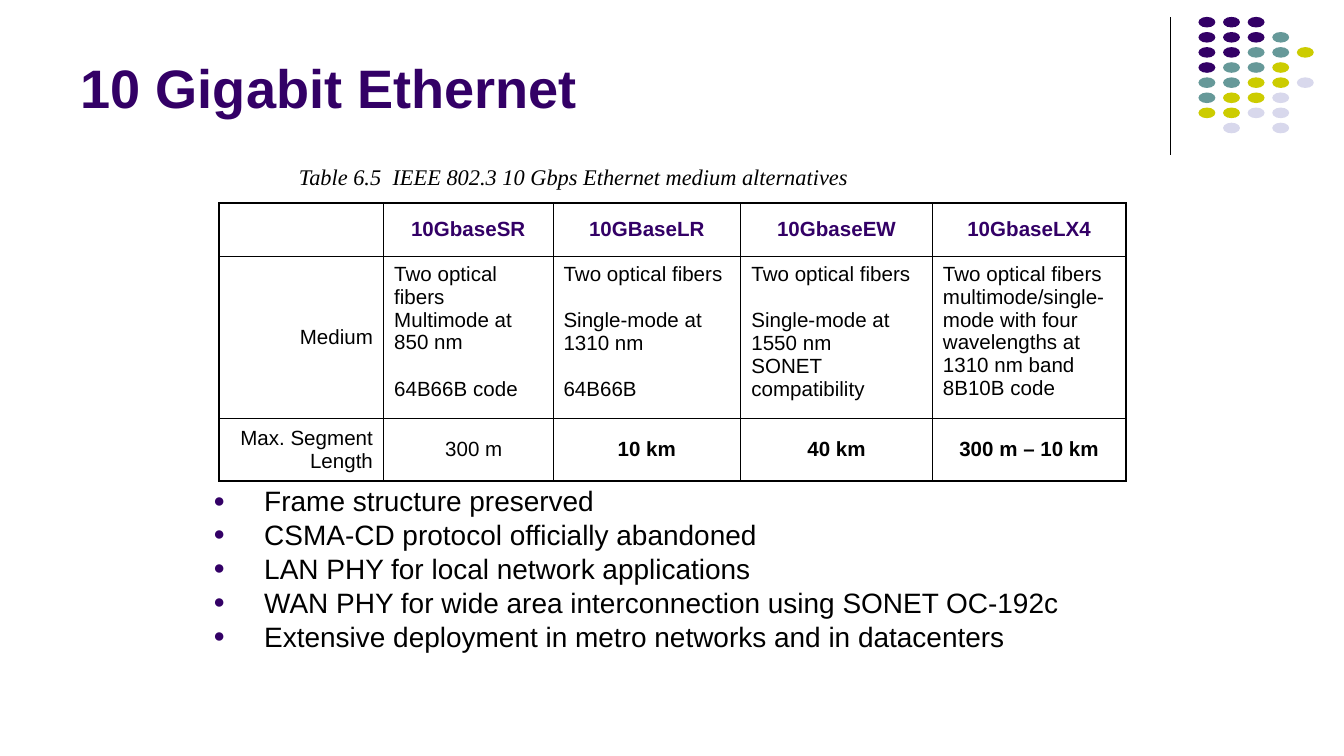
from lxml.etree import SubElement
from pptx import Presentation
from pptx.dml.color import RGBColor
from pptx.enum.shapes import MSO_CONNECTOR, MSO_SHAPE
from pptx.enum.text import MSO_ANCHOR, MSO_AUTO_SIZE, PP_ALIGN
from pptx.oxml import parse_xml
from pptx.oxml.ns import nsdecls, qn
from pptx.util import Cm, Pt

PURPLE, TEAL, OLIVE, LILAC, BLACK = "330066", "669999", "CCCC00", "D8D8EC", "000000"

DOT_COLORS = {"P": PURPLE, "T": TEAL, "O": OLIVE, "L": LILAC}
DOT_ROWS = ["PPP", "PPPT", "PPTTO", "PTTO", "TTOOL", "TOOL", "OOLL", " L L"]

# A blank line in a cell stands for a gap between its paragraphs.
MEDIA = [
    ["", "10GbaseSR", "10GBaseLR", "10GbaseEW", "10GbaseLX4"],
    ["Medium",
     "Two optical fibers\nMultimode at 850 nm\n\n64B66B code",
     "Two optical fibers\n\nSingle-mode at 1310 nm\n\n64B66B",
     "Two optical fibers\n\nSingle-mode at 1550 nm\nSONET compatibility",
     "Two optical fibers multimode/single-mode with four wavelengths at 1310 nm band\n"
     "8B10B code"],
    ["Max. Segment Length", "300 m", "10 km", "40 km", "300 m – 10 km"],
]
COLUMN_WIDTHS = [3.11, 3.2, 3.55, 3.62, 3.66]
ROW_HEIGHTS = [1, 3.06, 1.19]

FEATURES = [
    "Frame structure preserved",
    "CSMA-CD protocol officially abandoned",
    "LAN PHY for local network applications",
    "WAN PHY for wide area interconnection using SONET OC-192c",
    "Extensive deployment in metro networks and in datacenters",
]


def rgb(color):
    return RGBColor.from_string(color)


def style(paragraph, size, color=BLACK, name="Arial", bold=False, italic=False):
    font = paragraph.font
    font.name, font.size = name, Pt(size)
    font.bold, font.italic = bold, italic
    font.color.rgb = rgb(color)


def place(shape, left, top, width, height):
    shape.left, shape.top = Cm(left), Cm(top)
    shape.width, shape.height = Cm(width), Cm(height)


def add_divider(slide):
    divider = slide.shapes.add_connector(
        MSO_CONNECTOR.STRAIGHT, Cm(22.12), Cm(0.33), Cm(22.12), Cm(2.92))
    divider.line.color.rgb = rgb(BLACK)
    divider.line.width = Pt(0.75)
    SubElement(divider._element.spPr, qn("a:effectLst"))


def add_dots(slide):
    dots = slide.shapes.add_group_shape().shapes
    for row, codes in enumerate(DOT_ROWS):
        for column, code in enumerate(codes):
            if code == " ":
                continue
            dot = dots.add_shape(MSO_SHAPE.OVAL, Cm(22.65 + 1.86 * column / 4),
                                 Cm(0.32 + 2 * row / 7), Cm(0.32), Cm(0.2))
            dot.shadow.inherit = False
            dot.fill.solid()
            dot.fill.fore_color.rgb = rgb(DOT_COLORS[code])
            dot.line.fill.background()


def add_title(slide, text):
    title = slide.shapes.title
    place(title, 1.27, 0.25, 20.96, 2.13)
    frame = title.text_frame
    frame.text = text
    frame.auto_size = MSO_AUTO_SIZE.NONE
    frame.vertical_anchor = MSO_ANCHOR.BOTTOM
    frame.paragraphs[0].alignment = PP_ALIGN.LEFT
    style(frame.paragraphs[0], 29, PURPLE, bold=True)


def add_caption(slide, number, text):
    frame = slide.shapes.add_textbox(Cm(5.4), Cm(2.95), Cm(10.92), Cm(0.76)).text_frame
    frame.word_wrap = True
    frame.margin_right = 0
    frame.vertical_anchor = MSO_ANCHOR.MIDDLE
    caption = frame.paragraphs[0]
    caption.text = f"{number}\t{text}"
    tabs = SubElement(caption._p.get_or_add_pPr(), qn("a:tabLst"))
    SubElement(tabs, qn("a:tab"), pos=str(Cm(1.77)), algn="l")
    style(caption, 12, name="Times New Roman", italic=True)


def set_borders(cell, row, column):
    """Draw thin lines inside the table and thicker ones around it."""
    outer = {"lnL": column == 0, "lnR": column == len(COLUMN_WIDTHS) - 1,
             "lnT": row == 0, "lnB": row == len(ROW_HEIGHTS) - 1}
    for position, (side, is_outer) in enumerate(outer.items()):
        width = Pt(1.08 if is_outer else 0.45)
        cell._tc.get_or_add_tcPr().insert(position, parse_xml(
            f'<a:{side} {nsdecls("a")} w="{width}"><a:solidFill>'
            f'<a:srgbClr val="{BLACK}"/></a:solidFill></a:{side}>'))


def fill_cell(cell, text, row, column):
    is_header, is_label, is_medium = row == 0, column == 0, row == 1 and column > 0
    cell.fill.background()
    set_borders(cell, row, column)
    cell.margin_left = cell.margin_right = Cm(0.2)
    cell.vertical_anchor = MSO_ANCHOR.TOP if is_medium else MSO_ANCHOR.MIDDLE
    if is_label:
        alignment = PP_ALIGN.RIGHT
    else:
        alignment = PP_ALIGN.LEFT if is_medium else PP_ALIGN.CENTER

    cell.text = text.replace("\n\n", "\n")
    gap_starts = {block.split("\n")[0] for block in text.split("\n\n")[1:]}
    for paragraph in cell.text_frame.paragraphs:
        paragraph.alignment = alignment
        if paragraph.text in gap_starts:
            paragraph.space_before = Pt(12.5)
        style(paragraph, 11, PURPLE if is_header else BLACK,
              bold=is_header or (row == 2 and column > 1))


def add_media_table(slide):
    table = slide.shapes.add_table(
        len(ROW_HEIGHTS), len(COLUMN_WIDTHS), Cm(4.14), Cm(3.84),
        Cm(sum(COLUMN_WIDTHS)), Cm(sum(ROW_HEIGHTS))).table
    table.first_row = table.horz_banding = False
    for column, width in zip(table.columns, COLUMN_WIDTHS):
        column.width = Cm(width)
    for row, height in zip(table.rows, ROW_HEIGHTS):
        row.height = Cm(height)
    for row, texts in enumerate(MEDIA):
        for column, text in enumerate(texts):
            fill_cell(table.cell(row, column), text, row, column)
    table.cell(2, 1).margin_left = Cm(0.41)


def add_bullet(paragraph):
    properties = paragraph._p.get_or_add_pPr()
    properties.set("marL", str(Cm(0.96)))
    properties.set("indent", str(-Cm(0.96)))
    SubElement(SubElement(properties, qn("a:buClr")), qn("a:srgbClr"), val=PURPLE)
    SubElement(properties, qn("a:buSzPct"), val="70000")
    SubElement(properties, qn("a:buChar"), char="●")


def add_features(slide):
    body = slide.placeholders[1]
    place(body, 3.78, 9.14, 17.75, 3.58)
    frame = body.text_frame
    frame.text = "\n".join(FEATURES)
    frame.auto_size = MSO_AUTO_SIZE.NONE
    for index, paragraph in enumerate(frame.paragraphs):
        add_bullet(paragraph)
        paragraph.line_spacing = 0.8
        paragraph.space_before = Pt(3.7 if index else 0)
        style(paragraph, 15)


def main():
    presentation = Presentation()
    presentation.slide_width = Cm(25.4)
    presentation.slide_height = presentation.slide_width * 9 // 16
    slide = presentation.slides.add_slide(presentation.slide_layouts[1])
    add_divider(slide)
    add_dots(slide)
    add_title(slide, "10 Gigabit Ethernet")
    add_caption(slide, "Table 6.5", "IEEE 802.3 10 Gbps Ethernet medium alternatives")
    add_media_table(slide)
    add_features(slide)
    presentation.save("out.pptx")


if __name__ == "__main__":
    main()
